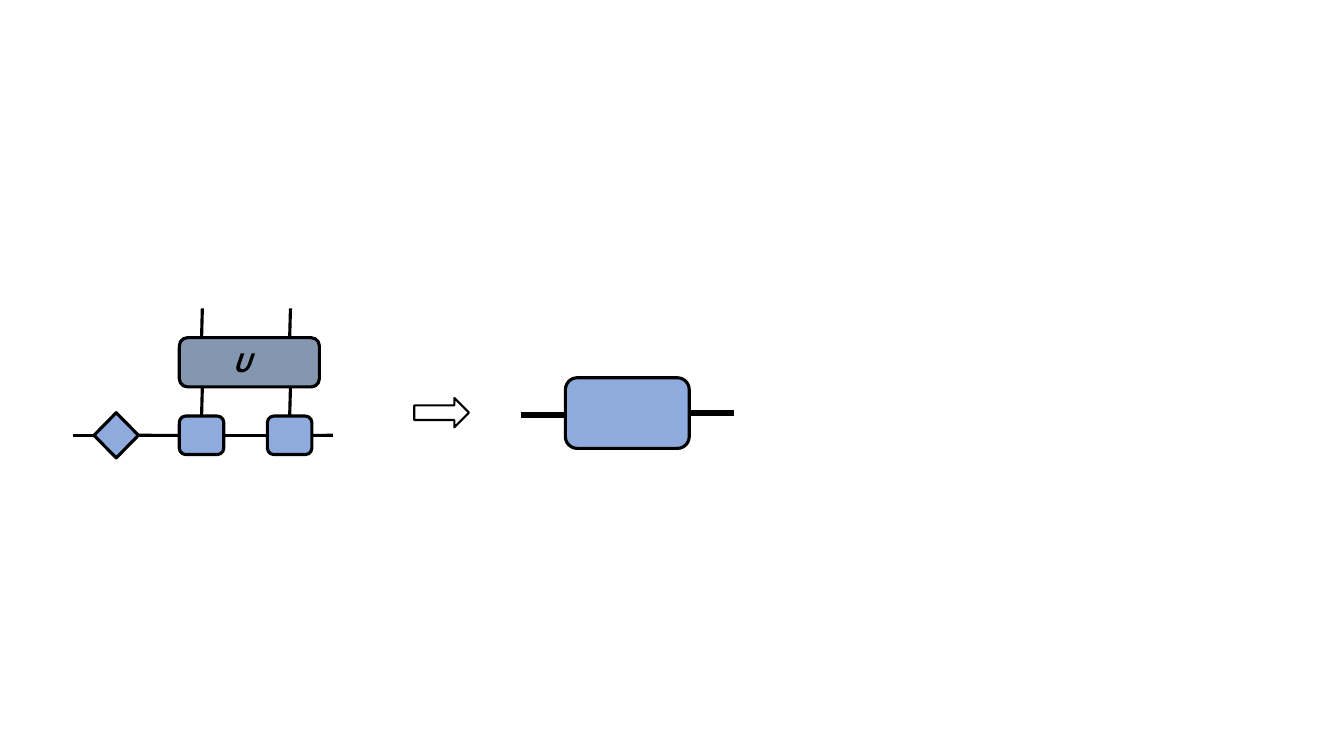
import pptx
import pptx.dml.color
import pptx.enum.shapes
import pptx.enum.text
import pptx.util
from pptx.util import Cm

BLACK = pptx.dml.color.RGBColor(0x00, 0x00, 0x00)
WHITE = pptx.dml.color.RGBColor(0xFF, 0xFF, 0xFF)
TENSOR_BLUE = pptx.dml.color.RGBColor(0x8F, 0xAA, 0xDC)
GATE_GREY = pptx.dml.color.RGBColor(0x84, 0x97, 0xB0)
FONT = "Noto Sans CJK SC"
SHAPES = pptx.enum.shapes.MSO_SHAPE
TOP, LEFT, BOTTOM, RIGHT = range(4)


def add_block(page, kind, left, top, width, height, color, weight=2.25):
    block = page.shapes.add_shape(kind, Cm(left), Cm(top), Cm(width), Cm(height))
    block.shadow.inherit = False
    block.fill.solid()
    block.fill.fore_color.rgb = color
    block.line.color.rgb = BLACK
    block.line.width = pptx.util.Pt(weight)
    return block


def add_wire(page, start, end, begin=None, finish=None, weight=2.25):
    wire = page.shapes.add_connector(
        pptx.enum.shapes.MSO_CONNECTOR.STRAIGHT,
        Cm(start[0]), Cm(start[1]), Cm(end[0]), Cm(end[1]))
    wire.line.color.rgb = BLACK
    wire.line.width = pptx.util.Pt(weight)
    wire._element.spPr.append(pptx.oxml.parse_xml(
        '<a:effectLst xmlns:a="http://schemas.openxmlformats.org/drawingml/2006/main"/>'))
    if begin:
        wire.begin_connect(*begin)
    if finish:
        wire.end_connect(*finish)


def add_gate_label(page, left, top, width, height):
    label = page.shapes.add_textbox(Cm(left), Cm(top), Cm(width), Cm(height))
    frame = label.text_frame
    frame.word_wrap = True
    frame.auto_size = pptx.enum.text.MSO_AUTO_SIZE.SHAPE_TO_FIT_TEXT
    span = frame.paragraphs[0].add_run()
    span.text = "U"
    span.font.name = FONT
    span.font.size = pptx.util.Pt(18)
    span.font.bold = True
    span.font.italic = True
    span.font.color.rgb = BLACK


def add_circuit(page, left, top, width, height):
    size, pitch, stub, leg, slant = 1.12, 2.22, 0.54, 0.74, 0.02
    site_height, diamond_height, gate_height = 0.97, 1.14, 1.24
    axis = top + height - diamond_height / 2
    site_top = axis - site_height / 2
    first = left + stub + size + 1.03
    gate_top = top + leg
    gate_bottom = gate_top + gate_height

    sites = [add_block(page, SHAPES.ROUNDED_RECTANGLE, first + index * pitch,
                       site_top, size, site_height, TENSOR_BLUE)
             for index in range(2)]
    diamond = add_block(page, SHAPES.DIAMOND, left + stub, axis - diamond_height / 2,
                        size, diamond_height, TENSOR_BLUE)

    chain = [diamond] + sites
    add_wire(page, (left, axis), (left + stub, axis), finish=(diamond, LEFT))
    for before, after in zip(chain, chain[1:]):
        add_wire(page, (left, axis), (left + width, axis),
                 (before, RIGHT), (after, LEFT))
    add_wire(page, (left + width - stub, axis), (left + width, axis),
             begin=(sites[-1], RIGHT))

    for index, site in enumerate(sites):
        center = first + index * pitch + size / 2
        add_wire(page, (center + slant, gate_bottom), (center, site_top),
                 finish=(site, TOP))
        add_wire(page, (center + slant, top), (center, gate_top))
    add_block(page, SHAPES.ROUNDED_RECTANGLE, first, gate_top, 3.53,
              gate_height, GATE_GREY)
    add_gate_label(page, first + 1.09, gate_top + 0.13, 1.68, 1.02)


def add_result(page, left, top, width, height):
    stub = 1.12
    axis = top + height / 2
    tensor = add_block(page, SHAPES.ROUNDED_RECTANGLE, left + stub, top,
                       width - 2 * stub, height, TENSOR_BLUE)
    add_wire(page, (left, axis + 0.05), (left + stub, axis + 0.05), weight=4.5)
    add_wire(page, (left + width - stub, axis), (left + width, axis),
             begin=(tensor, RIGHT), weight=4.5)


def main():
    deck = pptx.Presentation()
    deck.slide_width = Cm(33.87)
    deck.slide_height = Cm(19.05)
    page = deck.slides.add_slide(deck.slide_layouts[6])
    add_circuit(page, 1.83, 7.77, 6.56, 3.77)
    add_block(page, SHAPES.RIGHT_ARROW, 10.44, 10.03, 1.38, 0.74, WHITE, 1.5)
    add_result(page, 13.13, 9.52, 5.36, 1.78)
    deck.save("out.pptx")


if __name__ == "__main__":
    main()
